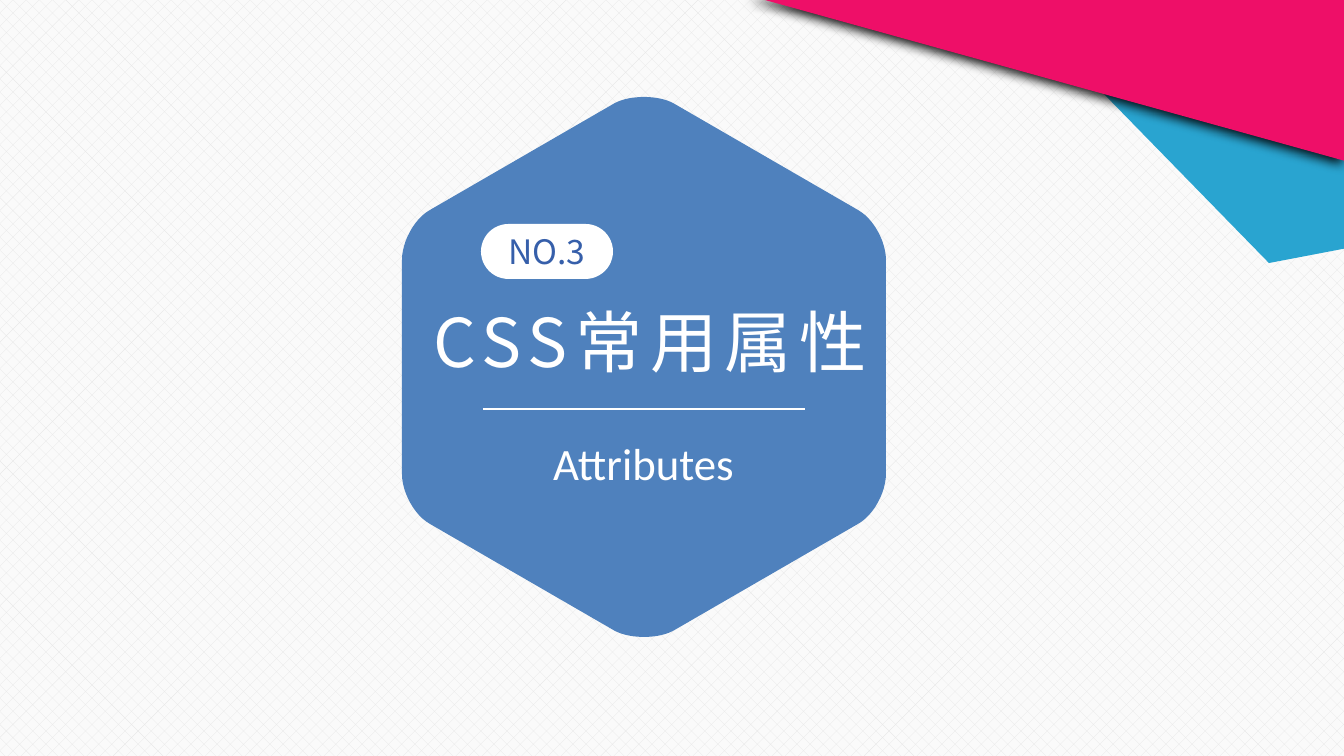
from lxml import etree
from pptx import Presentation
from pptx.dml.color import RGBColor
from pptx.enum.dml import MSO_PATTERN
from pptx.enum.shapes import MSO_CONNECTOR, MSO_SHAPE
from pptx.enum.text import MSO_ANCHOR, MSO_AUTO_SIZE, PP_ALIGN
from pptx.oxml import parse_xml
from pptx.oxml.ns import nsdecls, qn
from pptx.util import Pt

PERCENT_30 = MSO_PATTERN.PERCENT_30
STRAIGHT = MSO_CONNECTOR.STRAIGHT
RIGHT_TRIANGLE = MSO_SHAPE.RIGHT_TRIANGLE
ROUNDED = MSO_SHAPE.ROUNDED_RECTANGLE
TOP, MIDDLE = MSO_ANCHOR.TOP, MSO_ANCHOR.MIDDLE
NO_AUTOFIT = MSO_AUTO_SIZE.NONE
CENTER = PP_ALIGN.CENTER

WHITE = RGBColor(0xFF, 0xFF, 0xFF)
PAPER = RGBColor(0xFA, 0xFA, 0xFA)
WEAVE = RGBColor(0xE6, 0xE6, 0xE6)
PINK = RGBColor(0xEE, 0x0F, 0x68)
CYAN = RGBColor(0x29, 0xA4, 0xD0)
BLUE = RGBColor(0x4F, 0x81, 0xBD)
NAVY = RGBColor(0x36, 0x5F, 0xAA)

SCALE = 914400 / 134.4
LATIN_FONT = "Calibri"
CHINESE_FONT = "Noto Sans CJK SC"


def px(length):
    return round(length * SCALE)


def curve(start, first, second, end, steps=12):
    points = []
    for step in range(steps + 1):
        t = step / steps
        weights = ((1 - t) ** 3, 3 * t * (1 - t) ** 2, 3 * t * t * (1 - t), t ** 3)
        points.append(tuple(
            sum(weight * value for weight, value in zip(weights, axis))
            for axis in zip(start, first, second, end)))
    return points


def rounded_hexagon(center_x, center_y):
    quarter = curve((0, -270), (11, -270), (21, -268), (29, -264))
    quarter += curve((214, -157), (230, -148), (242, -125), (242, -107))
    right = quarter + [(x, -y) for x, y in reversed(quarter)]
    outline = right + [(-x, y) for x, y in reversed(right)]
    return [(center_x + x, center_y + y) for x, y in outline]


class SlideBuilder:
    def __init__(self, presentation):
        self.slide = presentation.slides.add_slide(presentation.slide_layouts[5])
        self.shapes = self.slide.shapes

    def background(self, foreground, background):
        fill = self.slide.background.fill
        fill.patterned()
        fill.pattern = PERCENT_30
        fill.fore_color.rgb = foreground
        fill.back_color.rgb = background

    def paint(self, shape, color):
        shape.shadow.inherit = False
        shape.fill.solid()
        shape.fill.fore_color.rgb = color
        shape.line.fill.background()
        return shape

    def polygon(self, points, color):
        points = [(px(x), px(y)) for x, y in points]
        builder = self.shapes.build_freeform(*points[0])
        builder.add_line_segments(points[1:], close=True)
        return self.paint(builder.convert_to_shape(), color)

    def preset(self, kind, box, color):
        return self.paint(self.shapes.add_shape(kind, *map(px, box)), color)

    def flip_with_shadow(self, shape):
        properties = shape._element.spPr
        for name in ("flipH", "flipV"):
            properties.xfrm.set(name, "1")
        properties.find(qn("a:effectLst")).append(parse_xml(
            f'<a:outerShdw {nsdecls("a")} blurRad="{Pt(6)}" dist="{Pt(3)}" '
            'dir="8100000" algn="tr" rotWithShape="0"><a:srgbClr val="000000">'
            '<a:alpha val="90000"/></a:srgbClr></a:outerShdw>'))

    def rule(self, start, end, color, width):
        connector = self.shapes.add_connector(STRAIGHT, *map(px, start + end))
        connector.line.color.rgb = color
        connector.line.width = Pt(width)
        etree.SubElement(connector._element.spPr, qn("a:effectLst"))

    def label(self, shape, text, size, color, font=CHINESE_FONT, anchor=TOP, spacing=0):
        frame = shape.text_frame
        frame_format = {"word_wrap": True, "auto_size": NO_AUTOFIT,
                        "vertical_anchor": anchor}
        for name, value in frame_format.items():
            setattr(frame, name, value)
        paragraph = frame.paragraphs[0]
        paragraph.alignment = CENTER
        run = paragraph.add_run()
        run.text = text
        for name, value in {"size": Pt(size), "name": font, "bold": False}.items():
            setattr(run.font, name, value)
        run.font.color.rgb = color
        properties = run._r.get_or_add_rPr()
        etree.SubElement(properties, qn("a:ea")).set("typeface", font)
        if spacing:
            properties.set("spc", str(spacing * 100))

    def text(self, box, text, size, color, **style):
        self.label(self.shapes.add_textbox(*map(px, box)), text, size, color, **style)

    def title(self, box, text, size, color, **style):
        title = self.shapes.title
        for name, value in zip(("left", "top", "width", "height"), box):
            setattr(title, name, px(value))
        self.label(title, text, size, color, **style)
        self.shapes._spTree.append(title._element)


presentation = Presentation()
presentation.slide_width, presentation.slide_height = px(1344), px(756)
section = SlideBuilder(presentation)
section.background(WEAVE, PAPER)

section.polygon([(1103, 93), (1269, 263), (1562, 207)], CYAN)
section.flip_with_shadow(section.preset(RIGHT_TRIANGLE, (754, -3, 591, 164), PINK))
section.polygon(rounded_hexagon(644, 367), BLUE)

badge = section.preset(ROUNDED, (481, 224, 132, 55), WHITE)
badge.adjustments[0] = 0.5
section.label(badge, "NO.3", 18, NAVY, anchor=MIDDLE)

section.rule((483, 409), (805, 409), WHITE, 1.5)
section.text((430, 429, 427, 67), "Attributes", 24, WHITE, font=LATIN_FONT)
section.title((376, 294, 548, 95), "CSS常用属性", 36, WHITE, spacing=4)

presentation.save("out.pptx")
